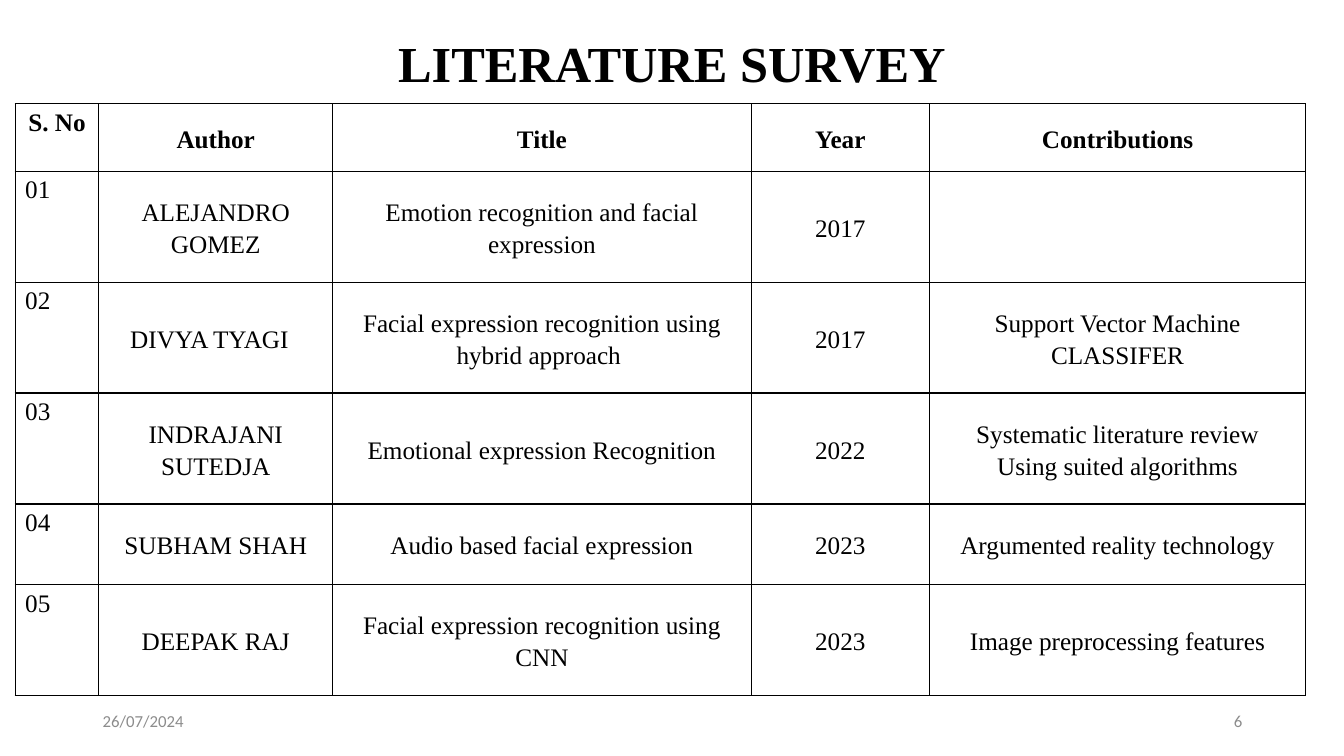
from lxml.etree import SubElement
from pptx import Presentation
from pptx.dml.color import RGBColor
from pptx.enum.text import MSO_ANCHOR, PP_ALIGN
from pptx.oxml.ns import qn
from pptx.util import Inches, Pt

BLACK = RGBColor(0x00, 0x00, 0x00)
GREY = RGBColor(0x8C, 0x8C, 0x8C)
SERIF = "Times New Roman"
SANS = "Calibri"

COLUMN_WIDTHS = [0.83, 2.32, 4.15, 1.77, 3.73]
ROW_HEIGHTS = [0.67, 1.1, 1.1, 1.1, 0.8, 1.1]
SURVEY = [
    ["S. No", "Author", "Title", "Year", "Contributions"],
    ["01", "ALEJANDRO GOMEZ", "Emotion recognition and facial expression", "2017", ""],
    ["02", "DIVYA TYAGI  ", "Facial expression recognition using hybrid approach ",
     "2017", "Support Vector Machine CLASSIFER"],
    ["03", "INDRAJANI SUTEDJA", "Emotional expression Recognition", "2022",
     "Systematic literature review\nUsing suited algorithms"],
    ["04", "SUBHAM SHAH", "Audio based facial expression", "2023",
     "Argumented reality technology"],
    ["05", "DEEPAK RAJ", "Facial expression recognition using CNN", "2023",
     "Image preprocessing features"],
]


def write(frame, text, size=18, font=SERIF, color=BLACK, bold=False,
          align=PP_ALIGN.CENTER, spacing=1.0):
    """Fill a text frame with one formatted paragraph per line of text."""
    frame.text = text
    for para in frame.paragraphs:
        para.alignment = align
        para.line_spacing = spacing
        for span in para.runs:
            span.font.name = font
            span.font.size = Pt(size)
            span.font.bold = bold
            span.font.color.rgb = color


class SurveyPage:
    """Hold the deck's style and the current slide."""

    def __init__(self, deck):
        """Add a title-only slide to the deck."""
        self.page = deck.slides.add_slide(deck.slide_layouts[5])
        self.border = Pt(1)

    def title(self, text):
        """Place the heading across the top."""
        box = self.page.shapes.title
        box.left, box.top = Inches(0), Inches(0)
        box.width, box.height = Inches(13.33), Inches(1.32)
        box.text_frame.vertical_anchor = MSO_ANCHOR.MIDDLE
        write(box.text_frame, text, size=36, bold=True, spacing=0.9)

    def outline(self, cell):
        """Draw a black line on each side of a cell."""
        properties = cell._tc.get_or_add_tcPr()
        for side in ("lnL", "lnR", "lnT", "lnB"):
            line = SubElement(properties, qn(f"a:{side}"), w=str(self.border))
            fill = SubElement(line, qn("a:solidFill"))
            SubElement(fill, qn("a:srgbClr"), val=str(BLACK))

    def table(self, rows, left, top, widths, heights):
        """Add a bordered table with a bold header row."""
        frame = self.page.shapes.add_table(
            len(rows), len(widths), Inches(left), Inches(top),
            Inches(sum(widths)), Inches(sum(heights)))
        table = frame.table
        table.first_row = False
        table.horz_banding = False
        for column, width in zip(table.columns, widths):
            column.width = Inches(width)
        for row, height in zip(table.rows, heights):
            row.height = Inches(height)
        for row_index, texts in enumerate(rows):
            for column_index, text in enumerate(texts):
                cell = table.cell(row_index, column_index)
                header, number = row_index == 0, column_index == 0
                self.outline(cell)
                cell.fill.background()
                if not number:
                    cell.vertical_anchor = MSO_ANCHOR.MIDDLE
                    cell.margin_left = cell.margin_right = Inches(0.08)
                    cell.margin_top = cell.margin_bottom = Inches(0)
                write(cell.text_frame, text, bold=header,
                      align=PP_ALIGN.LEFT if number and not header else PP_ALIGN.CENTER,
                      spacing=1.0 if number else 1.15)

    def footer(self, text, left, align):
        """Add a small grey note at the bottom."""
        box = self.page.shapes.add_textbox(
            Inches(left), Inches(6.95), Inches(3), Inches(0.4))
        box.text_frame.word_wrap = True
        box.text_frame.vertical_anchor = MSO_ANCHOR.MIDDLE
        write(box.text_frame, text, size=12, font=SANS, color=GREY, align=align)


def main():
    """Build and save the deck."""
    deck = Presentation()
    deck.slide_width, deck.slide_height = Inches(13.33), Inches(7.5)
    survey = SurveyPage(deck)
    survey.title("LITERATURE SURVEY")
    survey.table(SURVEY, 0.15, 1.03, COLUMN_WIDTHS, ROW_HEIGHTS)
    survey.footer("26/07/2024", 0.92, PP_ALIGN.LEFT)
    survey.footer("6", 9.42, PP_ALIGN.RIGHT)
    deck.save("out.pptx")


if __name__ == "__main__":
    main()
